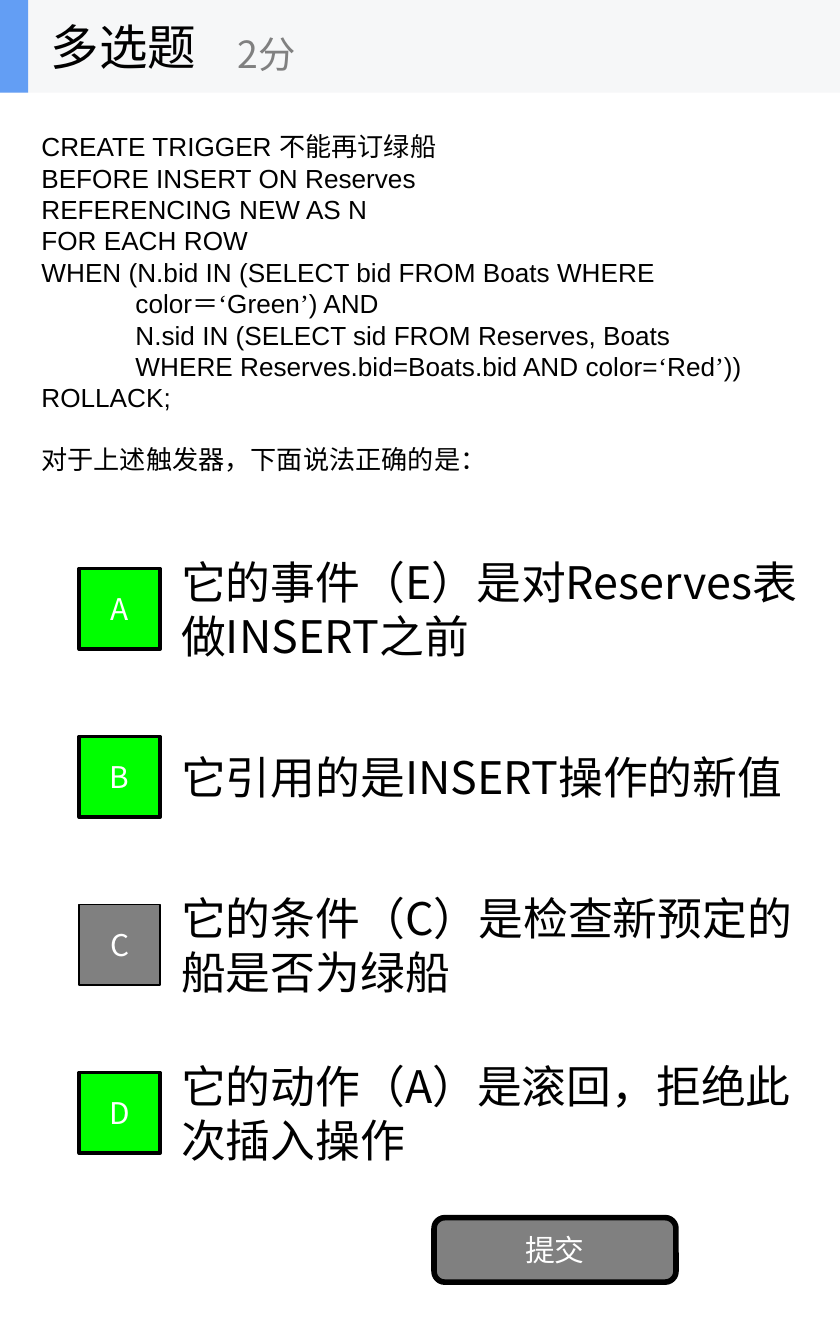
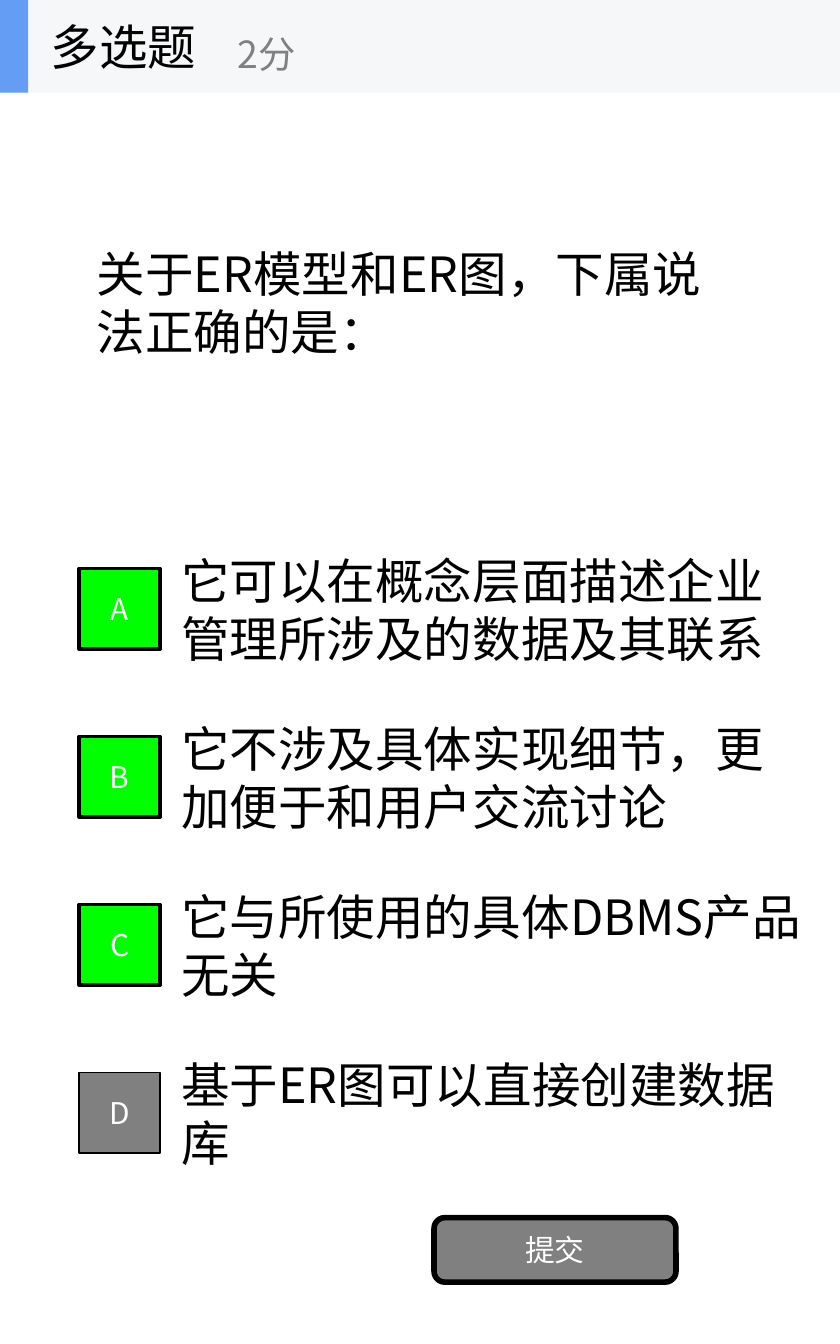
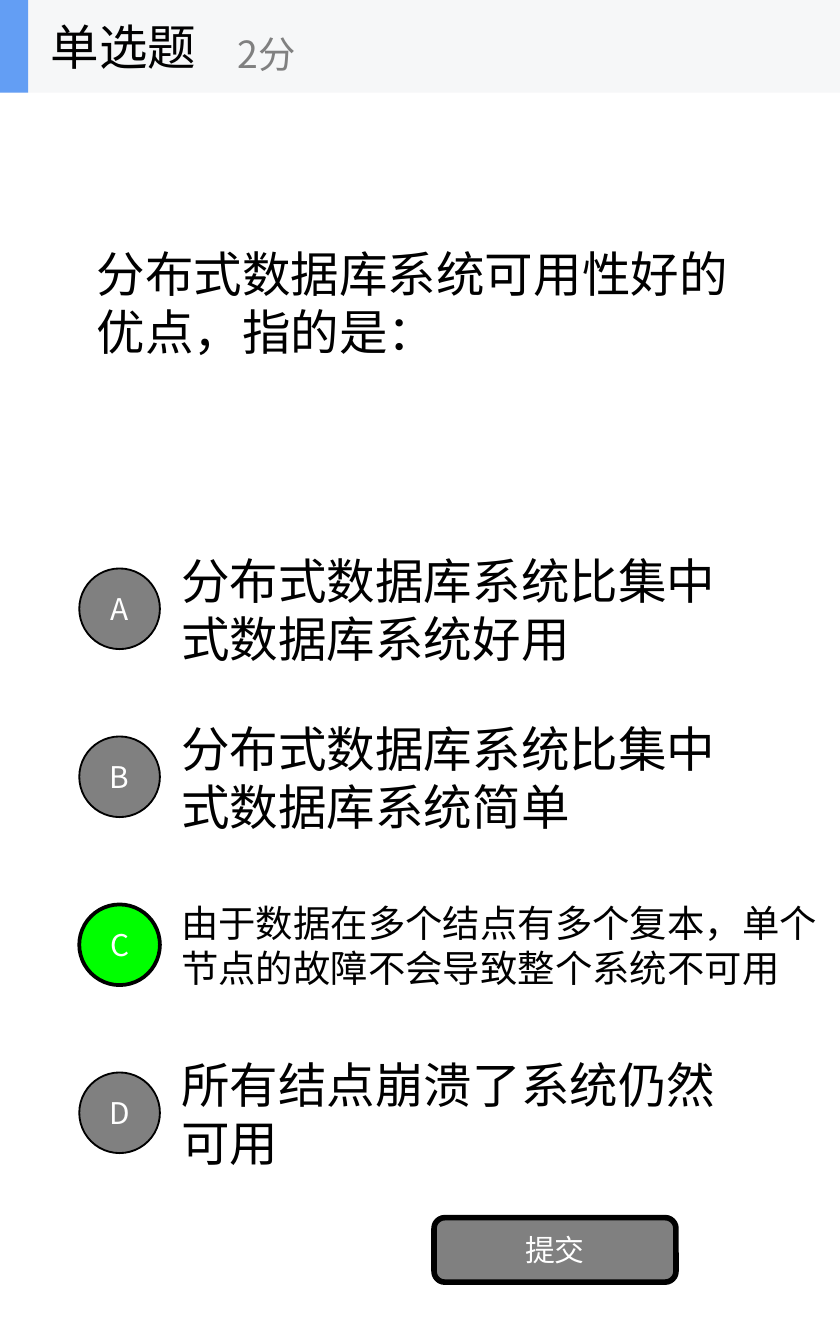
from dataclasses import dataclass
from itertools import groupby

from pptx import Presentation
from pptx.dml.color import RGBColor
from pptx.enum.shapes import MSO_SHAPE
from pptx.enum.text import MSO_ANCHOR, PP_ALIGN
from pptx.oxml.ns import qn
from pptx.util import Inches, Pt


@dataclass(frozen=True)
class Theme:
    """Colours, fonts and type sizes shared by the slides."""
    black: str = "000000"
    white: str = "FFFFFF"
    grey: str = "808080"
    correct: str = "00FF00"
    band: str = "F6F7F8"
    accent: str = "639EF4"
    font: str = "Noto Sans CJK SC"
    code_font: str = "Arial"
    quote_font: str = "Times New Roman"
    title: int = 26
    option: int = 24
    score: int = 20
    label: int = 16
    code: int = 14


T = Theme()
QUOTES = "‘’"
INDENT = Inches(0.7)
HEADER_BOX = (0, 0, 6.25, 0.69)
STEM_BOX = (0.62, 0.69, 5, 3.12)
CODE_BOX = (0.21, 0.69, 5.9, 3.12)
SUBMIT_BOX = (3.23, 9.06, 1.8, 0.48)
OPTIONS_LEFT, OPTIONS_TOP, OPTION_STEP, OPTION_H = 0.59, 4.06, 1.25, 0.94
BADGE, TEXT_DX = 0.6, 0.66

TRIGGER = [
    (0, "CREATE TRIGGER 不能再订绿船"),
    (0, "BEFORE INSERT ON Reserves"),
    (0, "REFERENCING NEW AS N"),
    (0, "FOR EACH ROW"),
    (0, "WHEN (N.bid IN (SELECT bid FROM Boats WHERE"),
    (1, "color＝‘Green’) AND"),
    (1, "N.sid IN (SELECT sid FROM Reserves, Boats"),
    (1, "WHERE Reserves.bid=Boats.bid AND color=‘Red’))"),
    (0, "ROLLACK;"),
]

QUESTIONS = [
    dict(kind="多选题", code=TRIGGER, stem="对于上述触发器，下面说法正确的是：",
         answers="ABD", size=T.option, options=[
             "它的事件（E）是对Reserves表做INSERT之前",
             "它引用的是INSERT操作的新值",
             "它的条件（C）是检查新预定的船是否为绿船",
             "它的动作（A）是滚回，拒绝此次插入操作"]),
    dict(kind="多选题", stem="关于ER模型和ER图，下属说法正确的是：",
         answers="ABC", options=[
             "它可以在概念层面描述企业管理所涉及的数据及其联系",
             "它不涉及具体实现细节，更加便于和用户交流讨论",
             "它与所使用的具体DBMS产品无关",
             "基于ER图可以直接创建数据库"]),
    dict(kind="单选题", stem="分布式数据库系统可用性好的优点，指的是：",
         answers="C", badge=MSO_SHAPE.OVAL, width=4.38,
         special={"C": dict(size=T.score, width=5)}, options=[
             "分布式数据库系统比集中式数据库系统好用",
             "分布式数据库系统比集中式数据库系统简单",
             "由于数据在多个结点有多个复本，单个节点的故障不会导致整个系统不可用",
             "所有结点崩溃了系统仍然可用"]),
]


def apply(target, values):
    """Set each attribute named in a dict of format values."""
    for name, value in values.items():
        setattr(target, name, value)


def add_run(p, text, size, color=T.black, font=T.font, east=None):
    """Append a run with its Latin and East Asian fonts."""
    r = p.add_run()
    r.text = text
    apply(r.font, {"size": Pt(size), "name": font})
    r.font.color.rgb = RGBColor.from_string(color)
    r.font._element.find(qn("a:latin")).addnext(
        r.font._element.makeelement(qn("a:ea"), {"typeface": east or font}))


def setup_frame(sp):
    """Wrap the text of a shape and centre it vertically."""
    tf = sp.text_frame
    apply(tf, {"word_wrap": True, "vertical_anchor": MSO_ANCHOR.MIDDLE})
    return tf


def add_text(shapes, box, text, size, color=T.black):
    """Place one paragraph in a text box."""
    tf = setup_frame(shapes.add_textbox(*map(Inches, box)))
    add_run(tf.paragraphs[0], text, size, color)


def add_block(shapes, kind, box, fill, line=0, text=""):
    """Place a filled shape with an optional outline and centred label."""
    sp = shapes.add_shape(kind, *map(Inches, box))
    sp.shadow.inherit = False
    sp.fill.solid()
    sp.fill.fore_color.rgb = RGBColor.from_string(fill)
    if line:
        sp.line.color.rgb = RGBColor.from_string(T.black)
        sp.line.width = Pt(line)
    else:
        sp.line.fill.background()
    if text:
        p = setup_frame(sp).paragraphs[0]
        p.alignment = PP_ALIGN.CENTER
        add_run(p, text, T.label, T.white)


def add_header(s, box, kind):
    """Group the title band, accent, question type and score."""
    x, y, w, h = box
    shapes = s.shapes.add_group_shape().shapes
    add_block(shapes, MSO_SHAPE.RECTANGLE, box, T.band)
    add_block(shapes, MSO_SHAPE.RECTANGLE, (x, y, 0.21, h), T.accent)
    add_text(shapes, (x + 0.28, y, 2.08, h), kind, T.title)
    add_text(shapes, (x + 1.67, y + 0.12, 2.5, 0.56), "2分", T.score, T.grey)


def add_code_stem(s, box, code, stem):
    """Write the code lines followed by the question."""
    tf = setup_frame(s.shapes.add_textbox(*map(Inches, box)))
    p = tf.paragraphs[0]
    for level, line in code:
        if level:
            p._p.get_or_add_pPr().set("marL", str(level * INDENT))
        for quoted, chars in groupby(line, lambda c: c in QUOTES):
            font, east = (T.quote_font, None) if quoted else (T.code_font, T.font)
            add_run(p, "".join(chars), T.code, font=font, east=east)
        p = tf.add_paragraph()
    p.space_before = Pt(16)
    add_run(p, stem, T.code, font=T.code_font, east=T.font)


def add_option(s, box, letter, text, correct, badge, size):
    """Place a lettered badge and the option text beside it."""
    x, y, w, h = box
    fill, line = (T.correct, 2) if correct else (T.grey, 1)
    add_text(s.shapes, (x + TEXT_DX, y, w, h), text, size)
    add_block(s.shapes, badge, (x, y + (h - BADGE) / 2, BADGE, BADGE), fill, line, letter)


def add_question(prs, kind, stem, options, answers, code=None,
                 badge=MSO_SHAPE.RECTANGLE, size=T.title, width=4.86, special=None):
    """Build a slide with a question, its options and the submit button."""
    s = prs.slides.add_slide(prs.slide_layouts[6])
    if code:
        add_code_stem(s, CODE_BOX, code, stem)
    else:
        add_text(s.shapes, STEM_BOX, stem, T.title)
    for i, (letter, text) in enumerate(zip("ABCD", options)):
        style = {"size": size, "width": width, **(special or {}).get(letter, {})}
        box = (OPTIONS_LEFT, OPTIONS_TOP + i * OPTION_STEP, style["width"], OPTION_H)
        add_option(s, box, letter, text, letter in answers, badge, style["size"])
    add_block(s.shapes, MSO_SHAPE.ROUNDED_RECTANGLE, SUBMIT_BOX, T.grey, 3, "提交")
    add_header(s, HEADER_BOX, kind)


def main():
    """Build the quiz and save it."""
    prs = Presentation()
    apply(prs, {"slide_width": Inches(6.25), "slide_height": Inches(10)})
    for question in QUESTIONS:
        add_question(prs, **question)
    prs.save("out.pptx")


if __name__ == "__main__":
    main()
